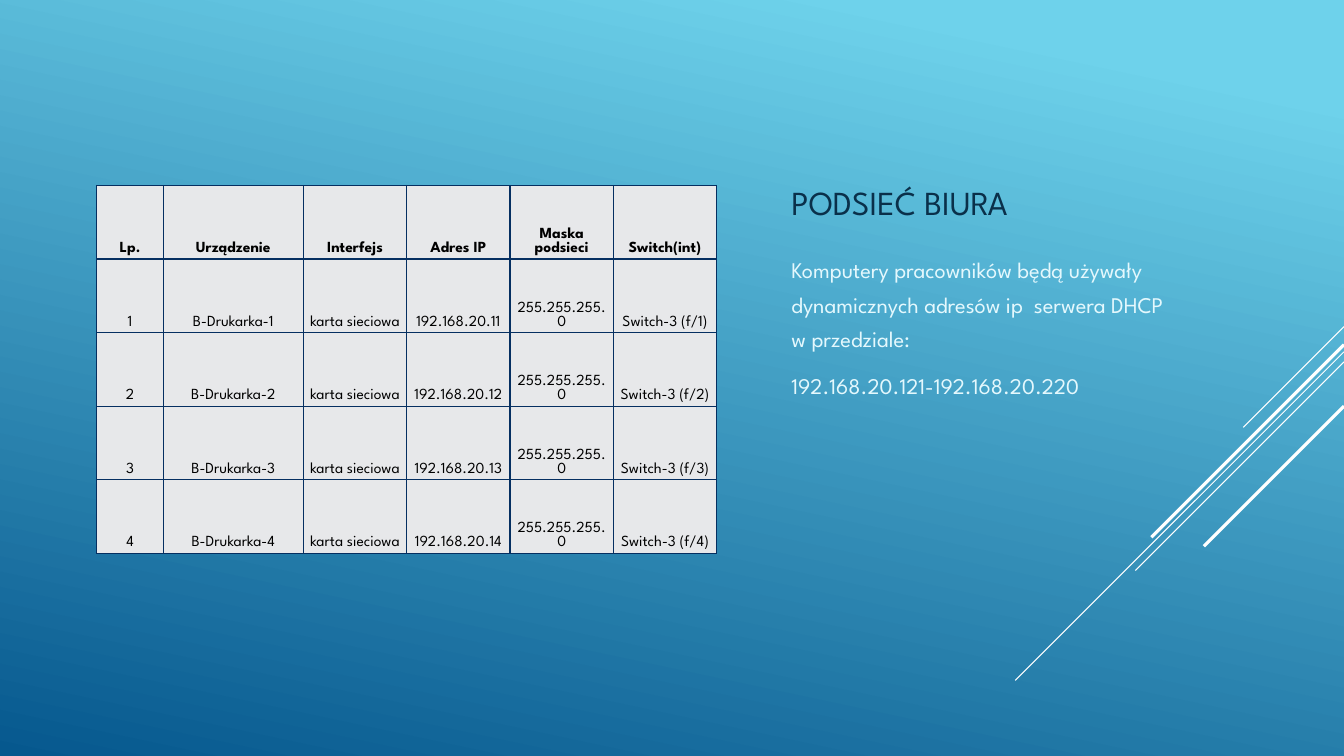
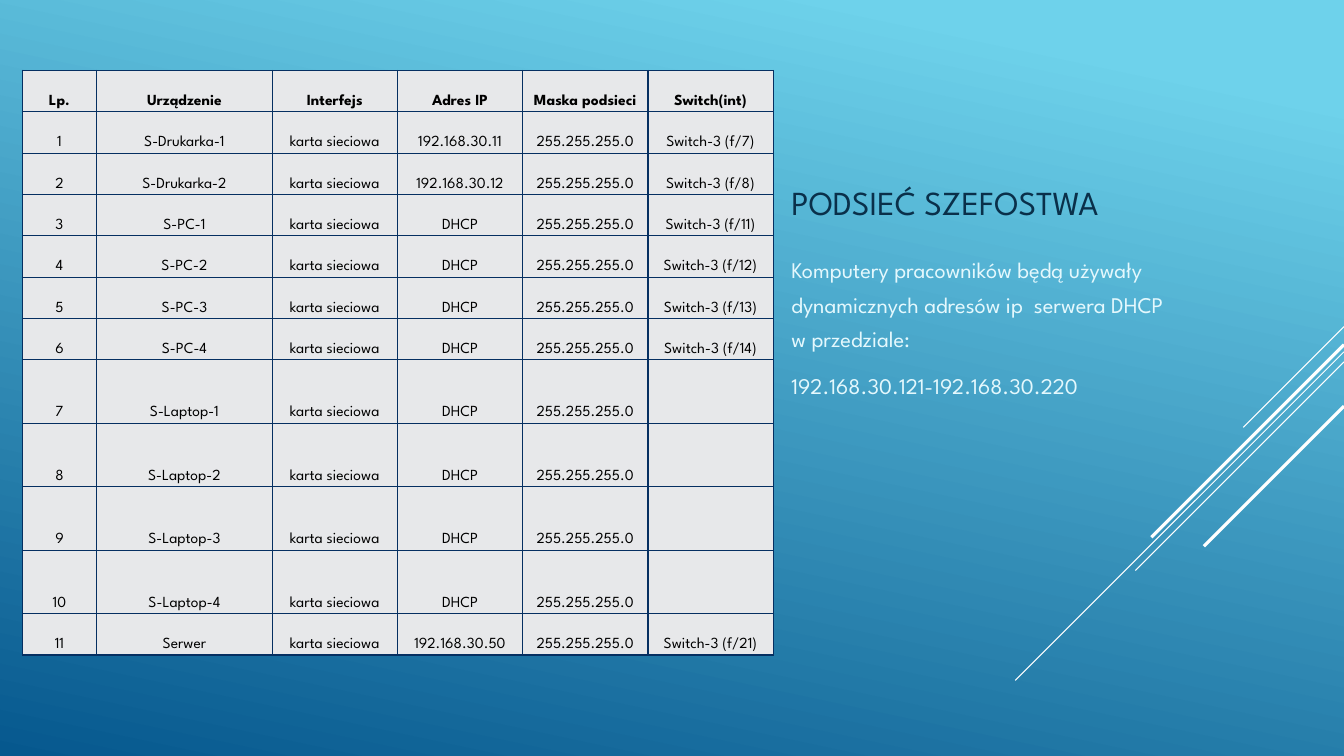
from lxml import etree
from pptx import Presentation
from pptx.dml.color import RGBColor
from pptx.enum.shapes import MSO_CONNECTOR
from pptx.enum.text import MSO_ANCHOR, MSO_AUTO_SIZE, PP_ALIGN
from pptx.oxml.ns import qn
from pptx.util import Inches, Pt

STRAIGHT = MSO_CONNECTOR.STRAIGHT
BOTTOM, TOP = MSO_ANCHOR.BOTTOM, MSO_ANCHOR.TOP
LEFT, CENTER = PP_ALIGN.LEFT, PP_ALIGN.CENTER
FIXED = MSO_AUTO_SIZE.NONE

WIDE, HIGH = 13.33, 7.5
FONT = "League Spartan"
SKY, DEEP, WHITE = "6ED2EB", "06588E", "FFFFFF"
NAVY, PALE, BLACK = "0A304A", "E4F8FD", "000000"
GRID, CELL = "052F61", "E7E8EA"
SIDE, SPAN = 7.75, 4
PAD = Inches(0.03)

HEAD = ["Lp.", "Urządzenie", "Interfejs", "Adres IP", "Maska podsieci", "Switch(int)"]
CARD, MASK = "karta sieciowa", "255.255.255.0"
INTRO = "Komputery pracowników będą używały dynamicznych adresów ip  serwera DHCP w przedziale:"

# Stripes at 45 degrees from the right edge: start height, run, weight
STRIPES = [(3.24, 1, 0.75), (3.49, 3.26, 0.75), (3.59, 2.07, 0.75),
           (3.42, 1.91, 2.25), (4.03, 1.39, 2.25)]

# Device, address, switch port
OFFICE = [(f"B-Drukarka-{n}", f"192.168.20.1{n}", f"Switch-3 (f/{n})") for n in range(1, 5)]
BOSSES = [(f"S-Drukarka-{n}", f"192.168.30.1{n}", f"Switch-3 (f/{n + 6})") for n in (1, 2)]
BOSSES += [(f"S-PC-{n}", "DHCP", f"Switch-3 (f/{n + 10})") for n in range(1, 5)]
BOSSES += [(f"S-Laptop-{n}", "DHCP", "") for n in range(1, 5)]
BOSSES += [("Serwer", "192.168.30.50", "Switch-3 (f/21)")]

# Table: left, top, width, first two columns, row height, height of rows without a port
PAGES = [
    dict(title="PODSIEĆ BIURA", pool="192.168.20.121-192.168.20.220", hosts=OFFICE,
         left=0.96, top=1.84, width=6.15, first=[0.66, 1.39], row=0.73, tall=0.73),
    dict(title="PODSIEĆ SZEFOSTWA", pool="192.168.30.121-192.168.30.220", hosts=BOSSES,
         left=0.22, top=0.7, width=7.45, first=[0.74, 1.74], row=0.41, tall=0.63),
]


def color(code):
    return RGBColor.from_string(code)


def write(par, text, size, code, bold=False):
    run = par.add_run()
    run.text = text
    font = run.font
    font.name, font.size, font.bold = FONT, Pt(size), bold
    font.color.rgb = color(code)


deck = Presentation()
deck.slide_width, deck.slide_height = Inches(WIDE), Inches(HIGH)

# Shared background and placeholder places
fill = deck.slide_master.background.fill
fill.gradient()
fill.gradient_angle = 360 - 102
for stop, place, code in zip(fill.gradient_stops, (0.1, 1), (SKY, DEEP)):
    stop.position = place
    stop.color.rgb = color(code)

layout = deck.slide_layouts[1]
for slot, top, height, anchor in ((0, 0.75, 1.5, BOTTOM), (1, 2.42, 2.29, TOP)):
    holder = layout.placeholders[slot]
    holder.left, holder.top = Inches(SIDE), Inches(top)
    holder.width, holder.height = Inches(SPAN), Inches(height)
    holder.text_frame.vertical_anchor = anchor
    holder.text_frame.auto_size = FIXED

slides = [deck.slides.add_slide(layout) for page in PAGES]

# Stripes are drawn on a slide, then moved to the layout behind its placeholders
for n, (top, run, weight) in enumerate(STRIPES):
    stripe = slides[0].shapes.add_connector(
        STRAIGHT, Inches(WIDE), Inches(top), Inches(WIDE - run), Inches(top + run))
    stripe.line.color.rgb = color(WHITE)
    stripe.line.width = Pt(weight)
    item = stripe.element
    etree.SubElement(item.spPr, qn("a:effectLst"))
    item.nvCxnSpPr.cNvPr.id = 20 + n
    layout.shapes.element.insert(2 + n, item)

for slide, page in zip(slides, PAGES):
    par = slide.shapes.title.text_frame.paragraphs[0]
    par.alignment = LEFT
    write(par, page["title"], 24, NAVY)

    frame = slide.placeholders[1].text_frame
    for par, text in ((frame.paragraphs[0], INTRO), (frame.add_paragraph(), page["pool"])):
        par.line_spacing = 1.28
        par.space_after = Pt(6)
        props = par._p.get_or_add_pPr()
        props.set("marL", "0")
        props.set("indent", "0")
        etree.SubElement(props, qn("a:buNone"))
        write(par, text, 16, PALE)

    rows = [HEAD]
    for n, (name, address, port) in enumerate(page["hosts"], 1):
        rows.append([str(n), name, CARD, address, MASK, port])
    rest = len(HEAD) - len(page["first"])
    cols = page["first"] + [(page["width"] - sum(page["first"])) / rest] * rest
    highs = [page["row"] if row[-1] else page["tall"] for row in rows]

    table = slide.shapes.add_table(
        len(rows), len(cols), Inches(page["left"]), Inches(page["top"]),
        Inches(page["width"]), Inches(sum(highs))).table
    table.first_row = table.horz_banding = False
    for col, width in zip(table.columns, cols):
        col.width = Inches(width)
    for y, (row, high) in enumerate(zip(rows, highs)):
        table.rows[y].height = Inches(high)
        for x, text in enumerate(row):
            cell = table.cell(y, x)
            cell.vertical_anchor = BOTTOM
            cell.margin_left = cell.margin_right = PAD
            cell.margin_top = cell.margin_bottom = PAD
            props = cell._tc.get_or_add_tcPr()
            for edge in ("a:lnL", "a:lnR", "a:lnT", "a:lnB"):
                line = etree.SubElement(props, qn(edge), w=str(Pt(1)))
                paint = etree.SubElement(line, qn("a:solidFill"))
                etree.SubElement(paint, qn("a:srgbClr"), val=GRID)
            cell.fill.solid()
            cell.fill.fore_color.rgb = color(CELL)
            if text:
                par = cell.text_frame.paragraphs[0]
                par.alignment = CENTER
                write(par, text, 11, BLACK, bold=y == 0)

deck.save("out.pptx")
